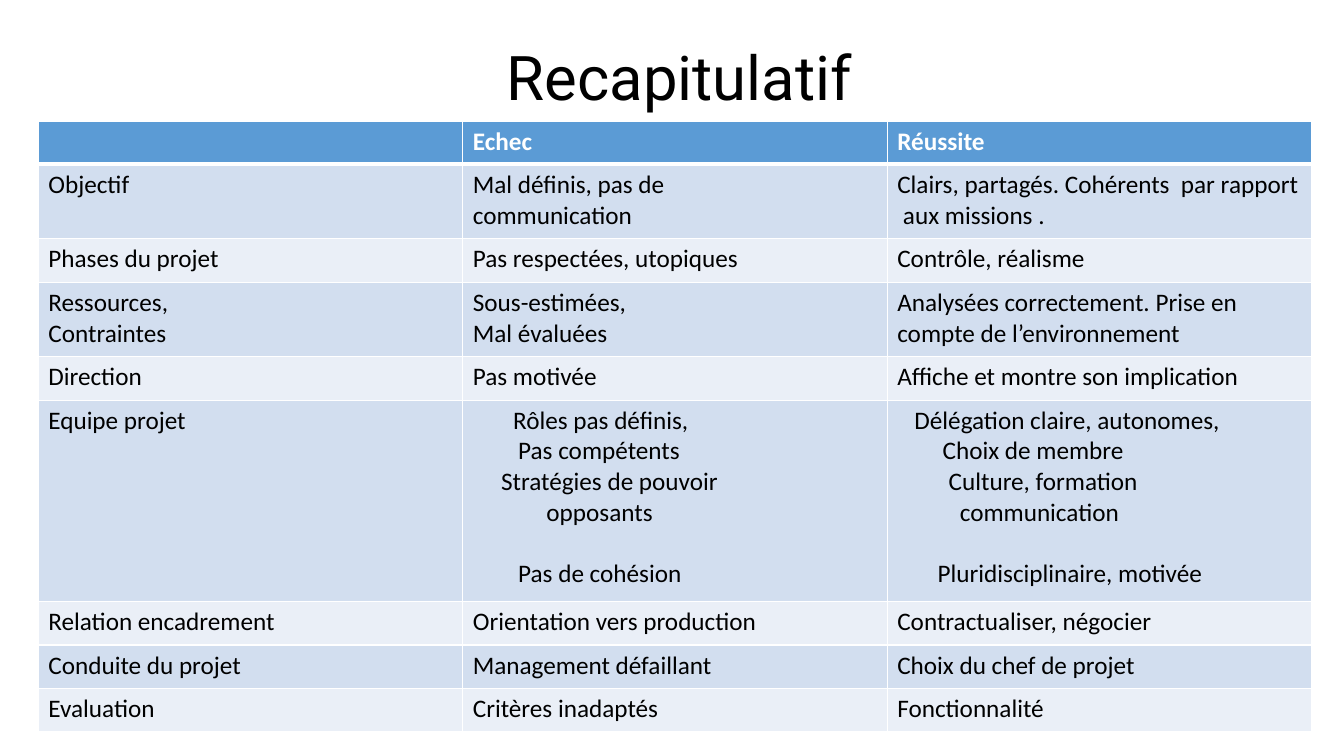
"""Build a summary slide comparing failure and success in projects."""
import lxml.etree
import pptx
import pptx.dml.color
import pptx.enum.text
import pptx.oxml.ns
import pptx.util

Inches = pptx.util.Inches
Pt = pptx.util.Pt
RGB = pptx.dml.color.RGBColor
ALIGN = pptx.enum.text.PP_ALIGN
ANCHOR = pptx.enum.text.MSO_ANCHOR

BLACK = RGB(0x00, 0x00, 0x00)
WHITE = RGB(0xFF, 0xFF, 0xFF)
BLUE = RGB(0x5B, 0x9B, 0xD5)
MIST = RGB(0xD2, 0xDE, 0xEF)
PALE = RGB(0xEA, 0xEF, 0xF7)

ROWS = [
    (0.43, "", "Echec", "Réussite"),
    (0.74, "Objectif", ["Mal définis, pas de", "communication"],
     "Clairs, partagés. Cohérents  par rapport  aux missions ."),
    (0.43, "Phases du projet", "Pas respectées, utopiques", "Contrôle, réalisme"),
    (0.74, ["Ressources,", "Contraintes"], ["Sous-estimées,", "Mal évaluées"],
     "Analysées correctement. Prise en compte de l’environnement"),
    (0.43, "Direction", "Pas motivée", "Affiche et montre son implication"),
    (2.0, "Equipe projet",
     [("Rôles pas définis,", 0.4, 0), ("Pas compétents", 0.45, 0),
      ("Stratégies de pouvoir", 0.28, 0), ("opposants", 0.73, 0),
      ("Pas de cohésion", 0.45, 22)],
     [("Délégation claire, autonomes,", 0.17, 0), ("Choix de membre", 0.45, 0),
      ("Culture, formation", 0.51, 0), ("communication", 0.62, 0),
      ("Pluridisciplinaire, motivée", 0.4, 22)]),
    (0.43, "Relation encadrement", "Orientation vers production",
     "Contractualiser, négocier"),
    (0.43, "Conduite du projet", "Management défaillant", "Choix du chef de projet"),
    (0.43, "Evaluation", "Critères inadaptés", "Fonctionnalité"),
]


def write(frame, text, font="Calibri", size=18, color=BLACK, bold=False,
          align=ALIGN.LEFT, space=None):
    """Fill a frame with lines, each a string or (string, indent, gap)."""
    frame.word_wrap = True
    lines = [text] if isinstance(text, str) else text
    for num, line in enumerate(lines):
        words, indent, gap = (line, 0, 0) if isinstance(line, str) else line
        para = frame.paragraphs[0] if num == 0 else frame.add_paragraph()
        para.alignment = align
        para.line_spacing = space
        if gap:
            para.space_before = Pt(gap)
        if indent:
            para._p.get_or_add_pPr().set("marL", str(Inches(indent)))
        para.font.size = Pt(size)
        if words:
            run = para.add_run()
            run.text = words
            run.font.name = font
            run.font.size = Pt(size)
            run.font.bold = bold
            run.font.color.rgb = color


class Deck:
    """Hold the style and the current slide."""

    def __init__(self):
        """Open a wide deck with one blank slide."""
        self.show = pptx.Presentation()
        self.show.slide_width = Inches(13.33)
        self.show.slide_height = Inches(7.5)
        self.slide = self.show.slides.add_slide(self.show.slide_layouts[6])

    def title(self, text, left, top, width, height):
        """Add the centred heading."""
        box = self.slide.shapes.add_textbox(
            Inches(left), Inches(top), Inches(width), Inches(height))
        box.text_frame.vertical_anchor = ANCHOR.MIDDLE
        write(box.text_frame, text, font="Roboto", size=44,
              align=ALIGN.CENTER, space=0.9)

    def border(self, cell, base):
        """Draw white borders, with the given width at the base."""
        props = cell._tc.get_or_add_tcPr()
        tag = pptx.oxml.ns.qn
        for spot, side in enumerate("LRTB"):
            line = lxml.etree.Element(tag("a:ln" + side))
            line.set("w", str(Pt(base if side == "B" else 1)))
            fill = lxml.etree.SubElement(line, tag("a:solidFill"))
            lxml.etree.SubElement(fill, tag("a:srgbClr")).set("val", str(WHITE))
            props.insert(spot, line)

    def table(self, rows, left, top, width):
        """Add the banded table with its header row."""
        count = len(rows[0]) - 1
        high = sum(row[0] for row in rows)
        grid = self.slide.shapes.add_table(
            len(rows), count, Inches(left), Inches(top),
            Inches(width), Inches(high)).table
        for num, (tall, *texts) in enumerate(rows):
            grid.rows[num].height = Inches(tall)
            head = num == 0
            for col, text in enumerate(texts):
                cell = grid.cell(num, col)
                cell.fill.solid()
                cell.fill.fore_color.rgb = BLUE if head else MIST if num % 2 else PALE
                self.border(cell, 3 if head or num == 0 else 1)
                if num == 1:
                    top_line = cell._tc.tcPr.find(pptx.oxml.ns.qn("a:lnT"))
                    top_line.set("w", str(Pt(3)))
                write(cell.text_frame, text, bold=head,
                      color=WHITE if head else BLACK)


def main():
    """Build and save the slide."""
    deck = Deck()
    deck.title("Recapitulatif", 0.99, 0.07, 11.5, 1.45)
    deck.table(ROWS, 0.38, 1.2, 12.63)
    deck.show.save("out.pptx")


if __name__ == "__main__":
    main()
